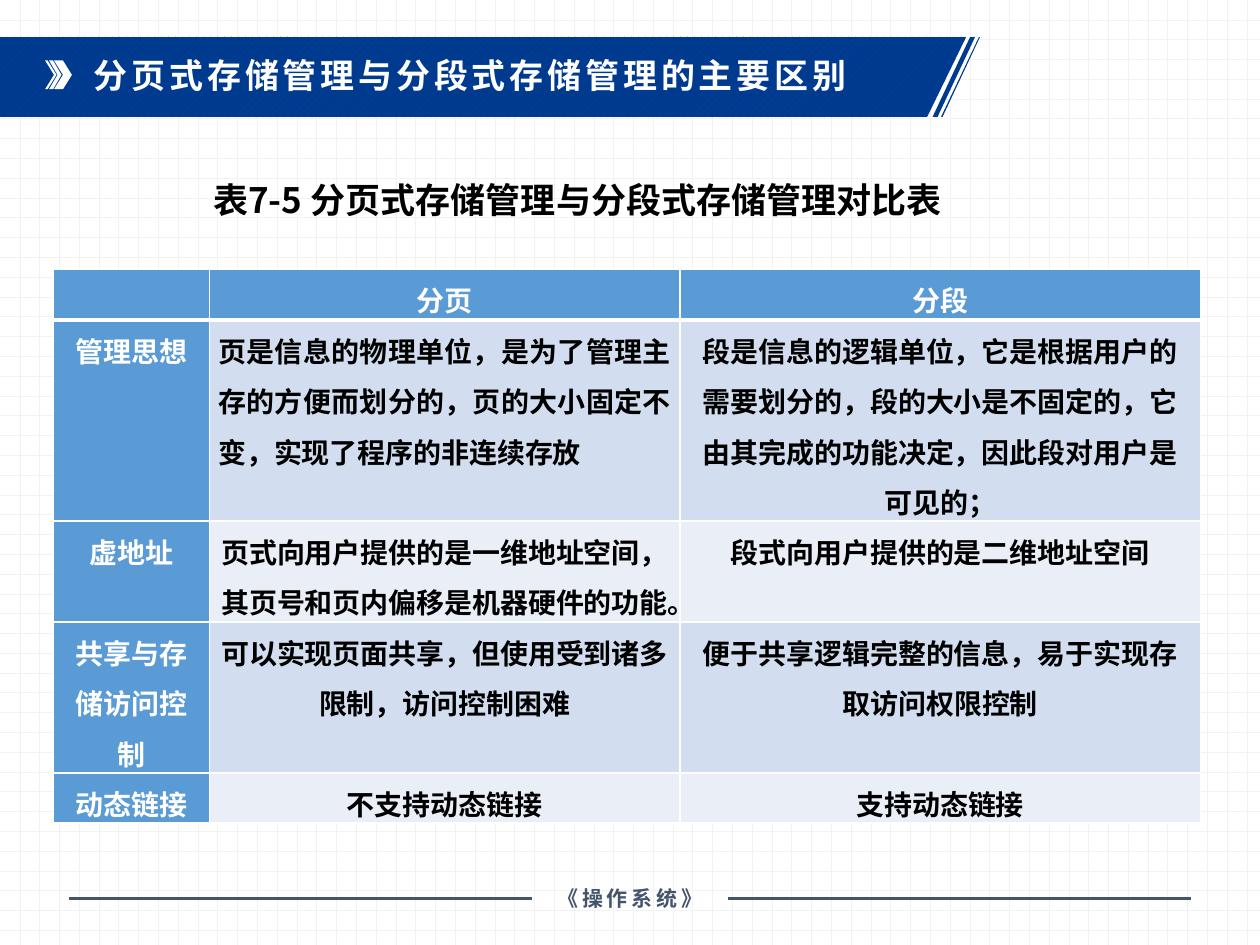
"""Build the slide comparing paged and segmented storage management."""
from dataclasses import dataclass
from typing import Optional

import lxml.etree
import pptx
import pptx.dml.color
import pptx.enum.dml
import pptx.enum.shapes
import pptx.enum.text
import pptx.oxml.ns
import pptx.util

Cm = pptx.util.Cm
Pt = pptx.util.Pt
ALIGN = pptx.enum.text.PP_ALIGN
ANCHOR = pptx.enum.text.MSO_ANCHOR
PATTERN = pptx.enum.dml.MSO_PATTERN
qn = pptx.oxml.ns.qn

CJK_FONT = "Noto Sans CJK SC"
WHITE, BLACK, SLATE, BLUE = "FFFFFF", "000000", "44546A", "5B9BD5"
BANDS = ("D2DEEF", "EAEFF7")
COLUMN_WIDTHS = (3.14, 9.49, 10.49)
ROW_HEIGHTS = (1.02, 4.05, 2.04, 3.04, 1.01)
ROWS = (
    ("", "分页", "分段"),
    ("管理思想",
     "页是信息的物理单位，是为了管理主存的方便而划分的，页的大小固定不变，实现了程序的非连续存放",
     "段是信息的逻辑单位，它是根据用户的需要划分的，段的大小是不固定的，它由其完成的功能决定，因此段对用户是可见的；"),
    ("虚地址",
     "页式向用户提供的是一维地址空间，其页号和页内偏移是机器硬件的功能。",
     "段式向用户提供的是二维地址空间"),
    ("共享与存储访问控制",
     "可以实现页面共享，但使用受到诸多限制，访问控制困难",
     "便于共享逻辑完整的信息，易于实现存取访问权限控制"),
    ("动态链接", "不支持动态链接", "支持动态链接"),
)


@dataclass
class TextStyle:
    size: float
    color: str
    font: str = CJK_FONT
    align: Optional[int] = None
    line_spacing: Optional[float] = None
    tracking: float = 0


@dataclass
class Label:
    text: str
    box: tuple
    style: TextStyle
    anchor: int = ANCHOR.TOP
    wrap: bool = True
    first_indent: float = 0


@dataclass
class Mark:
    left: float
    tip: float
    thickness: float


BANNER = (
    ((0, 0.74), (19.48, 0.74), (18.69, 2.36), (0, 2.36)),
    ((19.56, 0.74), (19.66, 0.74), (18.9, 2.36), (18.8, 2.36)),
    ((19.74, 0.74), (19.76, 0.74), (19, 2.36), (18.97, 2.36)),
)
MARKS = (Mark(0.99, 1.24, 0.08), Mark(0.91, 1.14, 0.05))
MARK_TOP, MARK_HEIGHT = 1.22, 0.58
TITLE = Label("分页式存储管理与分段式存储管理的主要区别", (1.64, 1.06, 15.85, 1.42),
              TextStyle(19.4, WHITE, line_spacing=0.9, tracking=2.2))
CAPTION = Label("表7-5 分页式存储管理与分段式存储管理对比表", (2.67, 3.05, 16.64, 1.96),
                TextStyle(20, BLACK, line_spacing=Pt(24)), ANCHOR.MIDDLE, first_indent=1.38)
FOOTER = Label("《操作系统》", (10.72, 17.73, 3.96, 0.76),
               TextStyle(12, SLATE, "Arial", ALIGN.CENTER, tracking=2.2), ANCHOR.MIDDLE, wrap=False)


def rgb(color: str) -> pptx.dml.color.RGBColor:
    """Turn a hex string into a colour."""
    return pptx.dml.color.RGBColor.from_string(color)


def fill_solid(fill, color: str) -> None:
    """Give a fill one plain colour."""
    fill.solid()
    fill.fore_color.rgb = rgb(color)


def fill_pattern(fill, pattern, fore: str, back: str) -> None:
    """Give a fill a two-colour pattern."""
    fill.patterned()
    fill.pattern = pattern
    fill.fore_color.rgb = rgb(fore)
    fill.back_color.rgb = rgb(back)


def style_paragraph(paragraph, style: TextStyle) -> None:
    """Set the layout and font of a paragraph."""
    paragraph.alignment = style.align
    paragraph.line_spacing = style.line_spacing
    font = paragraph.font
    font.size, font.bold, font.name = Pt(style.size), True, style.font
    font.color.rgb = rgb(style.color)
    properties = paragraph._p.pPr.find(qn("a:defRPr"))
    properties.set("spc", str(round(style.tracking * 100)))
    east_asian = lxml.etree.Element(qn("a:ea"), typeface=CJK_FONT)
    properties.find(qn("a:latin")).addnext(east_asian)


def add_label(slide, label: Label):
    """Add a text box holding one paragraph."""
    shape = slide.shapes.add_textbox(*map(Cm, label.box))
    frame = shape.text_frame
    frame.word_wrap = label.wrap
    frame.vertical_anchor = label.anchor
    paragraph = frame.paragraphs[0]
    paragraph.text = label.text
    if label.first_indent:
        paragraph._p.get_or_add_pPr().set("indent", str(Cm(label.first_indent)))
    style_paragraph(paragraph, label.style)
    return shape


def add_outline(slide, contours):
    """Add a freeform made of closed contours."""
    builder = None
    for contour in contours:
        points = [(Cm(x), Cm(y)) for x, y in contour]
        if builder is None:
            builder = slide.shapes.build_freeform(*points[0])
        else:
            builder.move_to(*points[0])
        builder.add_line_segments(points[1:], close=True)
    shape = builder.convert_to_shape()
    shape.shadow.inherit = False
    shape.line.fill.background()
    return shape


def add_header(slide) -> None:
    """Draw the banner with its arrow marks and title."""
    banner = add_outline(slide, BANNER)
    fill_pattern(banner.fill, PATTERN.WIDE_UPWARD_DIAGONAL, "00449A", "003A8F")
    chevron = slide.shapes.add_shape(pptx.enum.shapes.MSO_SHAPE.CHEVRON,
                                     Cm(1.09), Cm(MARK_TOP), Cm(0.36), Cm(MARK_HEIGHT))
    chevron.shadow.inherit = False
    chevron.line.fill.background()
    fill_solid(chevron.fill, WHITE)
    middle, bottom = MARK_TOP + MARK_HEIGHT / 2, MARK_TOP + MARK_HEIGHT
    for mark in MARKS:
        inner = mark.left + mark.thickness
        shape = add_outline(slide, [(
            (mark.left, MARK_TOP), (inner, MARK_TOP), (mark.tip, middle),
            (inner, bottom), (mark.left, bottom), (mark.tip - mark.thickness, middle))])
        fill_solid(shape.fill, WHITE)
    add_label(slide, TITLE)


def add_footer(slide) -> None:
    """Draw the course name between two rules."""
    label = add_label(slide, FOOTER)
    for outer_end, side in ((1.4, 1), (24, 3)):
        line = slide.shapes.add_connector(pptx.enum.shapes.MSO_CONNECTOR.STRAIGHT,
                                          Cm(12.7), Cm(18.11), Cm(outer_end), Cm(18.11))
        line.begin_connect(label, side)
        line.line.color.rgb = rgb(SLATE)
        line.line.width = Pt(2)
        lxml.etree.SubElement(line._element.spPr, qn("a:effectLst"))


def set_borders(cell, top: float, bottom: float) -> None:
    """Draw white borders round a cell."""
    properties = cell._tc.get_or_add_tcPr()
    for index, (side, width) in enumerate((("L", 1), ("R", 1), ("T", top), ("B", bottom))):
        border = lxml.etree.Element(qn(f"a:ln{side}"), w=str(Pt(width)))
        fill = lxml.etree.SubElement(border, qn("a:solidFill"))
        lxml.etree.SubElement(fill, qn("a:srgbClr"), val=WHITE)
        properties.insert(index, border)


def add_comparison(slide) -> None:
    """Add the table comparing paging with segmentation."""
    table = slide.shapes.add_table(len(ROWS), len(COLUMN_WIDTHS), Cm(1.08), Cm(5.43),
                                   Cm(sum(COLUMN_WIDTHS)), Cm(sum(ROW_HEIGHTS))).table
    for column, width in zip(table.columns, COLUMN_WIDTHS):
        column.width = Cm(width)
    for row_index, texts in enumerate(ROWS):
        table.rows[row_index].height = Cm(ROW_HEIGHTS[row_index])
        for column_index, text in enumerate(texts):
            cell = table.cell(row_index, column_index)
            heading = row_index == 0 or column_index == 0
            fill_solid(cell.fill, BLUE if heading else BANDS[(row_index - 1) % 2])
            set_borders(cell, 3 if row_index == 1 else 1, 3 if row_index == 0 else 1)
            cell.margin_left = cell.margin_right = Cm(0.18)
            cell.margin_top = cell.margin_bottom = 0
            cell.text = text
            align = ALIGN.JUSTIFY if (row_index, column_index) == (1, 1) else ALIGN.CENTER
            style_paragraph(cell.text_frame.paragraphs[0],
                            TextStyle(16, WHITE if heading else BLACK, align=align, line_spacing=1.25))


def main() -> None:
    """Build and save the presentation."""
    presentation = pptx.Presentation()
    presentation.slide_width, presentation.slide_height = Cm(25.4), Cm(19.05)
    slide = presentation.slides.add_slide(presentation.slide_layouts[6])
    fill_pattern(slide.background.fill, PATTERN.DOTTED_GRID, "F2F2F2", WHITE)
    add_header(slide)
    add_footer(slide)
    add_comparison(slide)
    add_label(slide, CAPTION)
    presentation.save("out.pptx")


if __name__ == "__main__":
    main()
